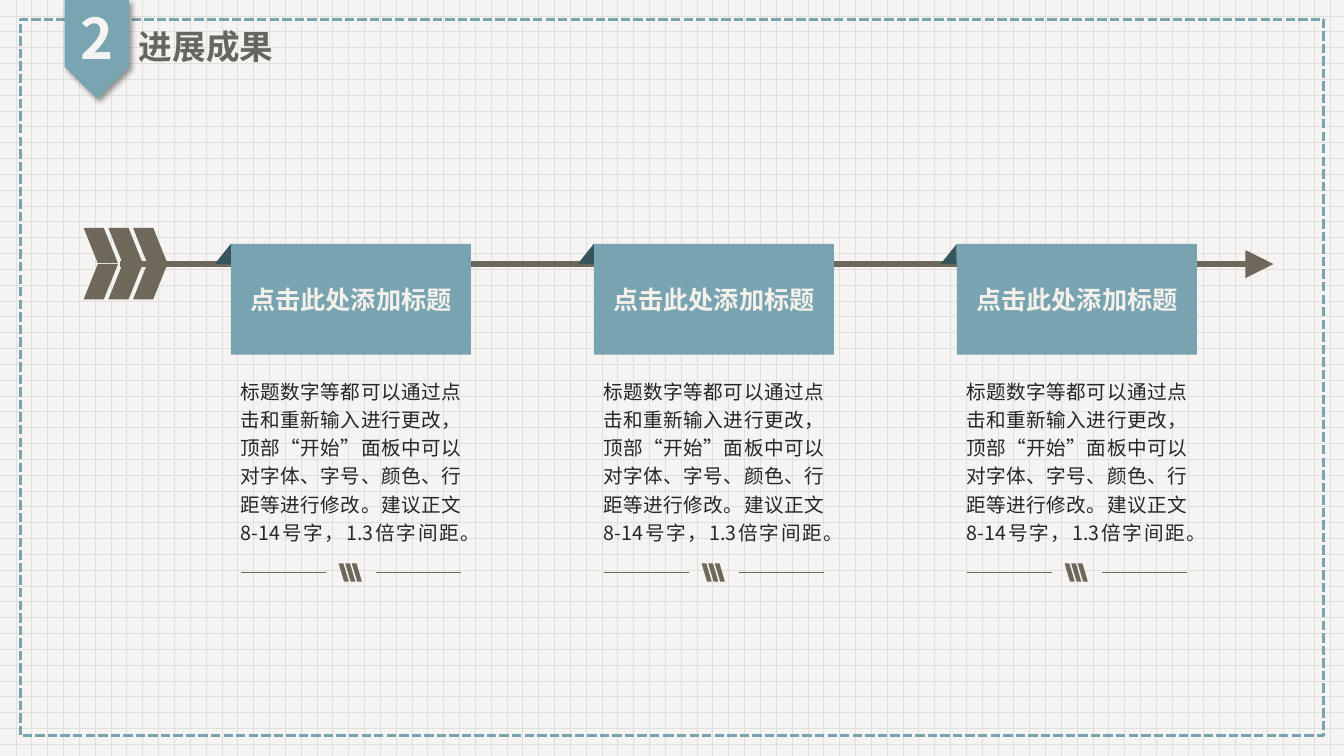
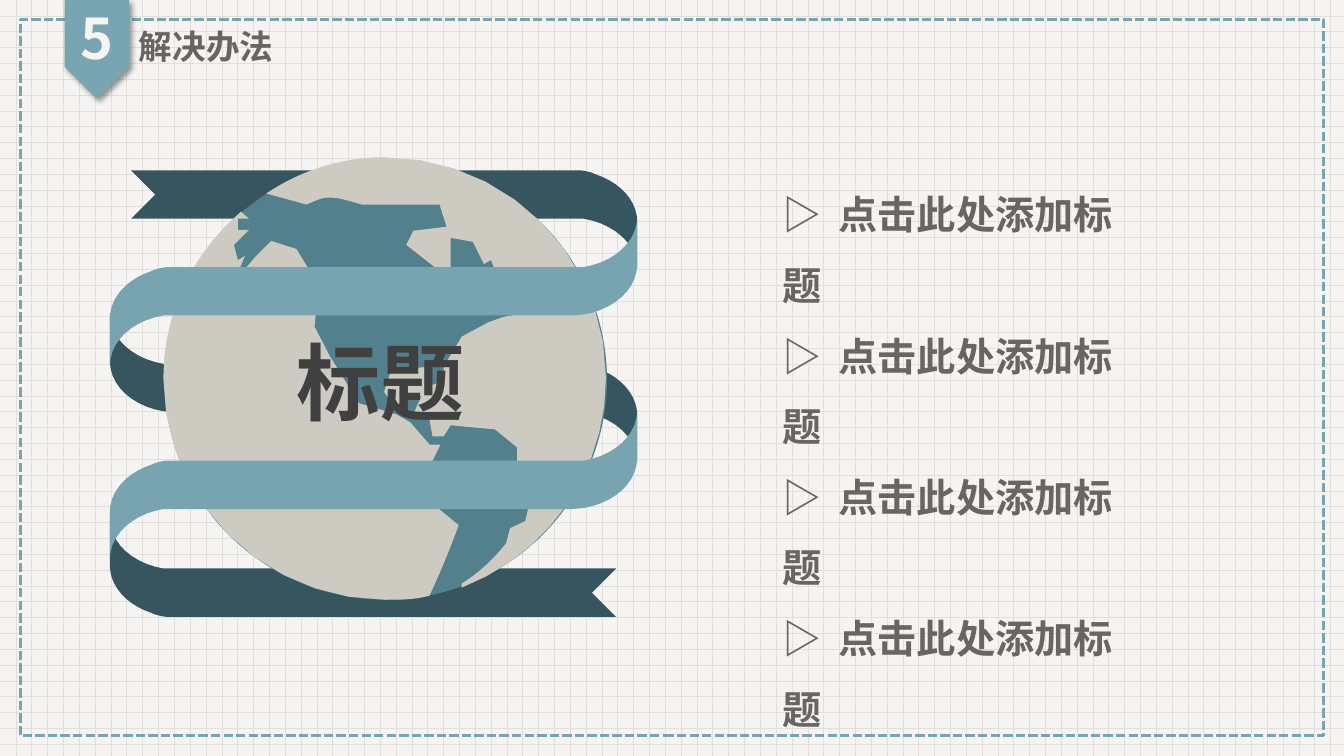
import pptx
import pptx.util
import pptx.dml.color
import pptx.enum.dml
import pptx.enum.shapes
import pptx.enum.text
import pptx.oxml
import pptx.oxml.ns
import lxml.etree

WIDTH, HEIGHT = 13.33, 7.5
FONT = "Noto Sans CJK SC"
TEAL, DARK_TEAL, LAND, SEA = "78A4B1", "36555E", "52808D", "CDCAC2"
TAG, BROWN, HEADING, LIST_GRAY = "79A5B2", "6E685A", "666560", "676661"
PAPER, GRID, CARD_TEXT, BODY, GLOBE_TEXT = "F5F4F3", "E1DFDA", "F5F0EA", "262626", "404040"

CARD_BODY = ("标题数字等都可以通过点击和重新输入进行更改，顶部“开始”面板中可以"
             "对字体、字号、颜色、行距等进行修改。建议正文8-14号字，1.3倍字间距。")
PROGRESS = {"number": "2", "title": "进展成果",
            "cards": [("点击此处添加标题", CARD_BODY)] * 3}
SOLUTION = {"number": "5", "title": "解决办法", "globe": "标题",
            "points": ["点击此处添加标题"] * 4}

FRONT_RIBBON = [
    (6.32, 2.15), (6.32, 2.62), (6.32, 2.87, 6.09, 3.07, 5.79, 3.12), (5.67, 3.13),
    (1.69, 3.13), (1.62, 3.13), (1.32, 3.18, 1.09, 3.38, 1.09, 3.63), (1.09, 3.16),
    (1.09, 2.95, 1.26, 2.77, 1.5, 2.69), (1.55, 2.67),
    (1.59, 2.66, 1.63, 2.65, 1.67, 2.65), (5.67, 2.65), (5.79, 2.65),
    (6.09, 2.6, 6.32, 2.4, 6.32, 2.15)]
TAIL_RIBBON = [
    (1.3, 1.69), (5.66, 1.69), (5.74, 1.69), (5.78, 1.69, 5.82, 1.7, 5.86, 1.71),
    (5.91, 1.73), (6.15, 1.81, 6.32, 1.99, 6.32, 2.2), (6.32, 2.67),
    (6.32, 2.42, 6.09, 2.22, 5.79, 2.17), (5.72, 2.17), (1.3, 2.17), (1.54, 1.93)]
WEST_SEA = [
    (4.55, 5.21), (4.33, 5.03), (4.26, 4.63), (4.37, 4.41), (4.26, 4.41), (4.07, 4.19),
    (3.93, 4.11), (3.56, 4), (3.27, 3.53), (3.12, 3.24), (3.16, 2.83), (2.94, 2.47),
    (2.69, 2.39), (2.54, 2.54), (2.32, 2.8), (2.43, 2.54), (2.36, 2.58), (2.32, 2.43),
    (2.47, 2.28), (2.36, 2.28), (2.36, 2.17), (2.47, 2.17), (2.39, 2.1),
    (1.92, 2.5, 1.62, 3.09, 1.62, 3.75), (1.62, 4.96, 2.61, 5.95, 3.82, 5.95),
    (3.97, 5.95, 4.11, 5.95, 4.26, 5.91), (4.33, 5.76, 4.44, 5.51, 4.55, 5.21)]
EAST_SEA = [
    (3.81, 1.56), (3.37, 1.56, 2.97, 1.7, 2.64, 1.92), (3.04, 2.03),
    (3.11, 2, 3.19, 1.96, 3.26, 1.96), (3.37, 1.96, 3.48, 2, 3.59, 2.03), (4.36, 2.03),
    (4.43, 2.25), (4.1, 2.29), (4.03, 2.43), (4.4, 2.72), (4.47, 2.72), (4.47, 2.36),
    (4.69, 2.4), (4.8, 2.62), (4.87, 2.58), (5.09, 3.13),
    (5.02, 3.13, 4.95, 3.16, 4.84, 3.2), (4.58, 3.34), (4.4, 3.64), (4.4, 3.78),
    (4.29, 3.82), (4.25, 3.64), (3.88, 3.67), (3.81, 3.89), (3.92, 4.04), (4.03, 3.93),
    (4.18, 3.93), (4.1, 4.11), (4.25, 4.11), (4.29, 4.33), (4.4, 4.33), (4.47, 4.22),
    (4.91, 4.26), (5.13, 4.44), (5.13, 4.62), (5.32, 4.69), (5.21, 5.17), (5.06, 5.24),
    (5.02, 5.39), (4.91, 5.53, 4.76, 5.68, 4.58, 5.79), (4.58, 5.83),
    (5.43, 5.5, 6.01, 4.69, 6.01, 3.75), (6.01, 2.54, 5.02, 1.56, 3.81, 1.56)]

SHAPES = pptx.enum.shapes.MSO_SHAPE
ALIGN = pptx.enum.text.PP_ALIGN
ANCHOR = pptx.enum.text.MSO_ANCHOR
inches = pptx.util.Inches
qn = pptx.oxml.ns.qn


def color(value):
    return pptx.dml.color.RGBColor.from_string(value)


def finish(shape, fill):
    shape.shadow.inherit = False
    shape.line.fill.background()
    if fill:
        shape.fill.solid()
        shape.fill.fore_color.rgb = color(fill)
    else:
        shape.fill.background()
    return shape


def add_shape(slide, kind, box, fill, flip=False, adjust=None):
    shape = finish(slide.shapes.add_shape(kind, *map(inches, box)), fill)
    if adjust is not None:
        shape.adjustments[0] = adjust
    if flip:
        shape.element.spPr.find(qn("a:xfrm")).set("flipH", "1")
    return shape


def add_line(slide, start, end, width):
    line = slide.shapes.add_connector(
        pptx.enum.shapes.MSO_CONNECTOR.STRAIGHT, *map(inches, start + end))
    line.line.color.rgb = color(BROWN)
    line.line.width = pptx.util.Pt(width)
    lxml.etree.SubElement(line.element.spPr, qn("a:effectLst"))
    return line


def write(shape, lines, size, fill, bold=True, align=ALIGN.LEFT, anchor=ANCHOR.TOP,
          spacing=None, before=None, grow=False):
    frame = shape.text_frame
    frame.word_wrap = True
    frame.vertical_anchor = anchor
    if grow:
        frame.auto_size = pptx.enum.text.MSO_AUTO_SIZE.SHAPE_TO_FIT_TEXT
    for index, line in enumerate(lines):
        paragraph = frame.add_paragraph() if index else frame.paragraphs[0]
        paragraph.alignment = align
        paragraph.line_spacing = spacing
        if before:
            paragraph.space_before = pptx.util.Pt(before)
        run = paragraph.add_run()
        run.text = line
        run.font.size = pptx.util.Pt(size)
        run.font.bold = bold
        run.font.color.rgb = color(fill)
        run.font.name = FONT
        east_asian = lxml.etree.SubElement(run.font._element, qn("a:ea"))
        east_asian.set("typeface", FONT)
    return frame


def add_text(slide, box, lines, size, fill, **style):
    return write(slide.shapes.add_textbox(*map(inches, box)), lines, size, fill, **style)


def flatten(outline, steps=10):
    points = []
    for segment in outline:
        if len(segment) == 2:
            points.append(segment)
            continue
        corners = [points[-1], segment[:2], segment[2:4], segment[4:]]
        for step in range(1, steps + 1):
            t = step / steps
            weights = ((1 - t) ** 3, 3 * t * (1 - t) ** 2, 3 * t * t * (1 - t), t ** 3)
            points.append(tuple(sum(weight * corner[axis] for weight, corner
                                    in zip(weights, corners)) for axis in (0, 1)))
    return points


def add_outline(slide, outline, fill, mirror=False, turn=False, down=0.0):
    points = [(inches(7.41 - x if mirror or turn else x),
               inches((7.81 - y if turn else y) + down)) for x, y in flatten(outline)]
    builder = slide.shapes.build_freeform(*points[0], scale=1.0)
    builder.add_line_segments(points[1:], close=True)
    return finish(builder.convert_to_shape(), fill)


def add_tag_shadow(shape):
    effects = shape.element.spPr.find(qn("a:effectLst"))
    effects.append(pptx.oxml.parse_xml(
        '<a:outerShdw xmlns:a="http://schemas.openxmlformats.org/drawingml/2006/main" '
        'blurRad="50800" dist="38100" dir="2700000" rotWithShape="0">'
        '<a:srgbClr val="000000"><a:alpha val="40000"/></a:srgbClr></a:outerShdw>'))


def new_slide(presentation, content):
    slide = presentation.slides.add_slide(presentation.slide_layouts[6])
    frame = add_shape(slide, SHAPES.RECTANGLE, (0.2, 0.19, WIDTH - 0.4, HEIGHT - 0.39), None)
    frame.line.color.rgb = color(TEAL)
    frame.line.width = pptx.util.Pt(2.25)
    frame.line.dash_style = pptx.enum.dml.MSO_LINE.SQUARE_DOT
    tag = add_shape(slide, SHAPES.PENTAGON, (0.47, 0.17, 0.98, 0.64), TAG)
    tag.rotation = 90
    add_tag_shadow(tag)
    style = {"anchor": ANCHOR.MIDDLE, "spacing": 0.9, "before": 10}
    add_text(slide, (0.64, 0, 0.64, 0.82), [content["number"]], 40, PAPER,
             align=ALIGN.CENTER, **style)
    add_text(slide, (1.28, 0.23, 4.6, 0.51), [content["title"]], 24, HEADING, **style)
    return slide


def build_progress(presentation):
    slide = new_slide(presentation, PROGRESS)
    axis, card_top, card_width, pitch = 2.62, 2.42, 2.38, 3.6
    arrow = add_line(slide, (1.19, axis), (12.63, axis), 4)
    head = lxml.etree.SubElement(arrow.element.spPr.find(qn("a:ln")), qn("a:tailEnd"))
    for name, value in (("type", "triangle"), ("w", "lg"), ("len", "lg")):
        head.set(name, value)
    for top, flip in ((axis - 0.36, True), (axis, False)):
        for column in range(3):
            add_shape(slide, SHAPES.PARALLELOGRAM, (0.83 + 0.245 * column, top, 0.34, 0.35),
                      BROWN, flip, 0.413)
    for column, (title, body) in enumerate(PROGRESS["cards"]):
        left = 2.29 + pitch * column
        card = add_shape(slide, SHAPES.RECTANGLE, (left, card_top, card_width, 1.1), TEAL)
        write(card, [title], 18, CARD_TEXT, align=ALIGN.CENTER, anchor=ANCHOR.MIDDLE)
        add_shape(slide, SHAPES.ISOSCELES_TRIANGLE, (left - 0.16, card_top, 0.16, 0.2),
                  DARK_TEAL, True, 0)
        add_text(slide, (left, 3.67, card_width, 1.8), [body], 14, BODY, bold=False,
                 align=ALIGN.JUSTIFY, spacing=1.2, grow=True)
        for start in (0.1, 1.44):
            add_line(slide, (left + start, 5.68), (left + start + 0.84, 5.68), 0.5)
        for stroke in range(3):
            add_shape(slide, SHAPES.PARALLELOGRAM,
                      (left + 1.07 + 0.065 * stroke, 5.59, 0.1, 0.18), BROWN, True, 0.532)


def build_solution(presentation):
    slide = new_slide(presentation, SOLUTION)
    ribbon_pitch = 1.92
    add_outline(slide, TAIL_RIBBON, DARK_TEAL, turn=True)
    add_outline(slide, FRONT_RIBBON, DARK_TEAL, mirror=True, down=ribbon_pitch / 2)
    add_outline(slide, TAIL_RIBBON, DARK_TEAL)
    add_shape(slide, SHAPES.OVAL, (1.63, 1.58, 4.39, 4.37), LAND)
    for sea in (WEST_SEA, EAST_SEA):
        add_outline(slide, sea, SEA)
    for row in range(2):
        add_outline(slide, FRONT_RIBBON, TEAL, down=ribbon_pitch * row)
    add_text(slide, (2.84, 3.23, 1.96, 1.11), [SOLUTION["globe"]], 60, GLOBE_TEXT, grow=True)
    points = add_text(slide, (7.66, 1.61, 3.77, 4.34),
                      ["▷\t" + point for point in SOLUTION["points"]],
                      28, LIST_GRAY, spacing=1.5, grow=True)
    for paragraph in points.paragraphs:
        stops = lxml.etree.SubElement(paragraph._p.get_or_add_pPr(), qn("a:tabLst"))
        stop = lxml.etree.SubElement(stops, qn("a:tab"))
        stop.set("pos", str(inches(0.56)))
        stop.set("algn", "l")


presentation = pptx.Presentation()
presentation.slide_width = inches(WIDTH)
presentation.slide_height = inches(HEIGHT)
paper = presentation.slide_master.background.fill
paper.patterned()
paper.pattern = pptx.enum.dml.MSO_PATTERN.DOTTED_GRID
paper.fore_color.rgb = color(GRID)
paper.back_color.rgb = color(PAPER)
build_progress(presentation)
build_solution(presentation)
presentation.save("out.pptx")
